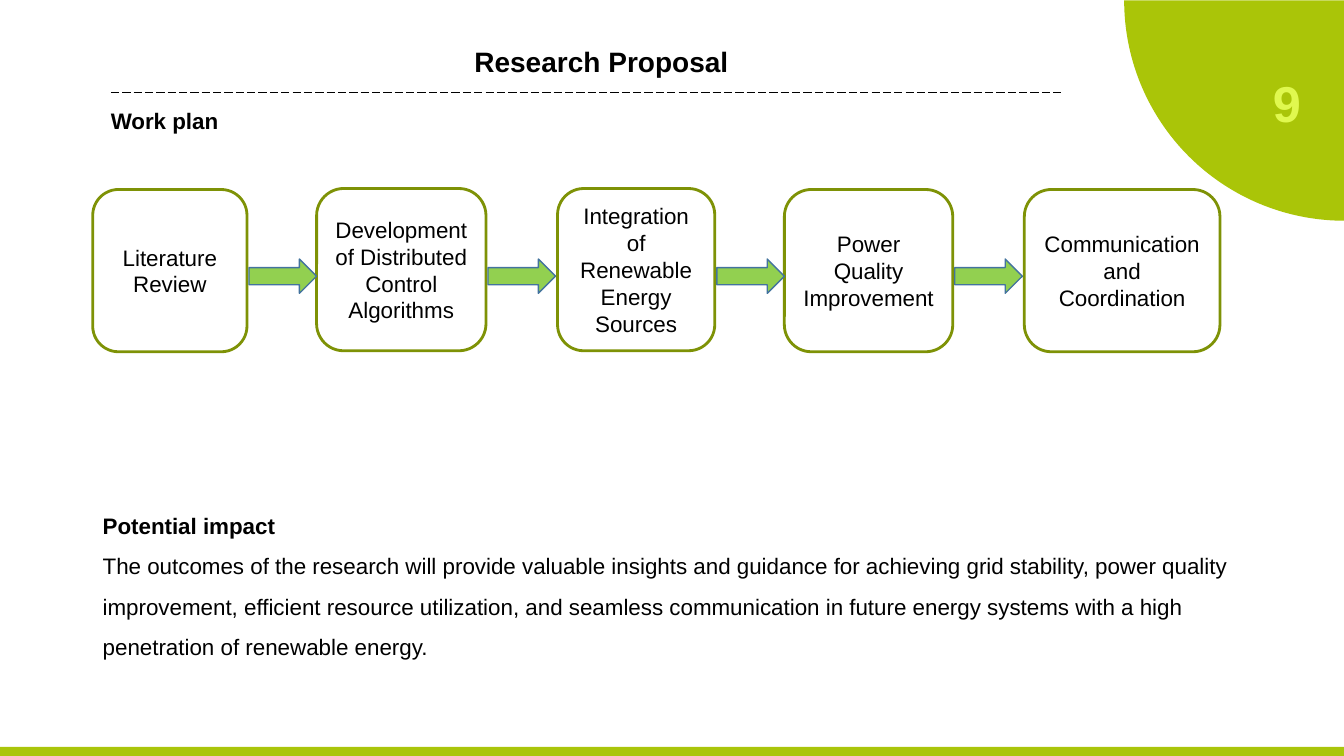
from dataclasses import dataclass

import lxml.etree
import pptx
import pptx.dml.color
import pptx.enum.dml
import pptx.enum.shapes
import pptx.enum.text
import pptx.oxml.ns
import pptx.util

PX = 9144
Shape = pptx.enum.shapes.MSO_SHAPE
Align = pptx.enum.text.PP_ALIGN
Anchor = pptx.enum.text.MSO_ANCHOR


@dataclass(frozen=True)
class Theme:
    font: str = "Arial"
    ink: str = "000000"
    bar: str = "AAC50B"
    corner: str = "AAC508"
    number: str = "E0F84F"
    border: str = "7E9206"
    arrow: str = "92D050"
    edge: str = "43739E"
    body: int = 16
    title: int = 20
    page: int = 36


@dataclass(frozen=True)
class Box:
    left: int
    top: int
    width: int
    height: int


@dataclass(frozen=True)
class Step:
    left: int
    top: int
    width: int
    text: str


@dataclass(frozen=True)
class Label:
    box: Box
    lines: tuple[str, ...]
    size: int
    color: str
    align: Align = Align.LEFT
    anchor: Anchor = Anchor.TOP
    space: float = 1.0
    track: int = 0


THEME = Theme()
STEP_HIGH = 161
ARROW_GAP = 2
ARROW_TOP, ARROW_WIDE, ARROW_HIGH = 257, 67, 34

STEPS = (
    Step(92, 188, 153, "Literature Review"),
    Step(314, 187, 168, "Development of Distributed Control Algorithms"),
    Step(553, 187, 156, "Integration of Renewable Energy Sources"),
    Step(778, 188, 167, "Power Quality Improvement"),
    Step(1016, 188, 194, "Communication and Coordination"),
)

LABELS = (
    Label(Box(327, 39, 539, 62), ("Research Proposal",), THEME.title, THEME.ink, Align.CENTER),
    Label(Box(1093, 83, 207, 37), ("9",), THEME.page, THEME.number,
          Align.RIGHT, Anchor.MIDDLE, track=200),
    Label(Box(100, 101, 138, 37), ("Work plan",), THEME.body, THEME.ink),
    Label(Box(92, 490, 1153, 172), (
        "Potential impact",
        "The outcomes of the research will provide valuable insights and guidance for "
        "achieving grid stability, power quality improvement, efficient resource "
        "utilization, and seamless communication in future energy systems with a high "
        "penetration of renewable energy.",
    ), THEME.body, THEME.ink, space=1.5),
)


def color(code: str) -> pptx.dml.color.RGBColor:
    return pptx.dml.color.RGBColor.from_string(code)


def place(box: Box) -> tuple[int, int, int, int]:
    return box.left * PX, box.top * PX, box.width * PX, box.height * PX


def style(run, size: int, code: str, bold: bool) -> None:
    run.font.name = THEME.font
    run.font.size = pptx.util.Pt(size)
    run.font.bold = bold
    run.font.color.rgb = color(code)


def draw_shape(slide, kind: Shape, box: Box, fill: str = "", line: str = "", weight: int = 0):
    shape = slide.shapes.add_shape(kind, *place(box))
    shape.shadow.inherit = False
    if fill:
        shape.fill.solid()
        shape.fill.fore_color.rgb = color(fill)
    else:
        shape.fill.background()
    if line:
        shape.line.color.rgb = color(line)
        shape.line.width = pptx.util.Pt(weight)
    else:
        shape.line.fill.background()
    return shape


def draw_label(slide, label: Label) -> None:
    frame = slide.shapes.add_textbox(*place(label.box)).text_frame
    frame.word_wrap = True
    frame.vertical_anchor = label.anchor
    frame.text = "\n".join(label.lines)
    for index, para in enumerate(frame.paragraphs):
        para.alignment = label.align
        para.line_spacing = label.space
        for run in para.runs:
            style(run, label.size, label.color, index == 0)
            if label.track:
                run._r.get_or_add_rPr().set("spc", str(label.track))


def draw_step(slide, step: Step) -> None:
    box = Box(step.left, step.top, step.width, STEP_HIGH)
    shape = draw_shape(slide, Shape.ROUNDED_RECTANGLE, box, line=THEME.border, weight=2)
    frame = shape.text_frame
    frame.word_wrap = True
    frame.vertical_anchor = Anchor.MIDDLE
    frame.text = step.text
    para = frame.paragraphs[0]
    para.alignment = Align.CENTER
    style(para.runs[0], THEME.body, THEME.ink, False)


def draw_arrow(slide, step: Step) -> None:
    left = step.left + step.width + ARROW_GAP
    box = Box(left, ARROW_TOP, ARROW_WIDE, ARROW_HIGH)
    draw_shape(slide, Shape.RIGHT_ARROW, box, THEME.arrow, THEME.edge, 1)


def draw_rule(slide, left: int, right: int, top: int) -> None:
    rule = slide.shapes.add_connector(
        pptx.enum.shapes.MSO_CONNECTOR.STRAIGHT, left * PX, top * PX, right * PX, top * PX)
    rule.line.color.rgb = color(THEME.ink)
    rule.line.width = pptx.util.Pt(0.75)
    rule.line.dash_style = pptx.enum.dml.MSO_LINE.LONG_DASH
    lxml.etree.SubElement(rule._element.spPr, pptx.oxml.ns.qn("a:effectLst"))


def main() -> None:
    deck = pptx.Presentation()
    deck.slide_width, deck.slide_height = 1333 * PX, 750 * PX
    slide = deck.slides.add_slide(deck.slide_layouts[6])
    draw_shape(slide, Shape.RECTANGLE, Box(0, 741, 1333, 9), THEME.bar)
    pie = draw_shape(slide, Shape.PIE, Box(1115, -218, 437, 437), THEME.corner)
    pie.adjustments[0], pie.adjustments[1] = 54, 108
    draw_rule(slide, 110, 1055, 92)
    for label in LABELS:
        draw_label(slide, label)
    for step in STEPS:
        draw_step(slide, step)
    for step in STEPS[:-1]:
        draw_arrow(slide, step)
    deck.save("out.pptx")


if __name__ == "__main__":
    main()
